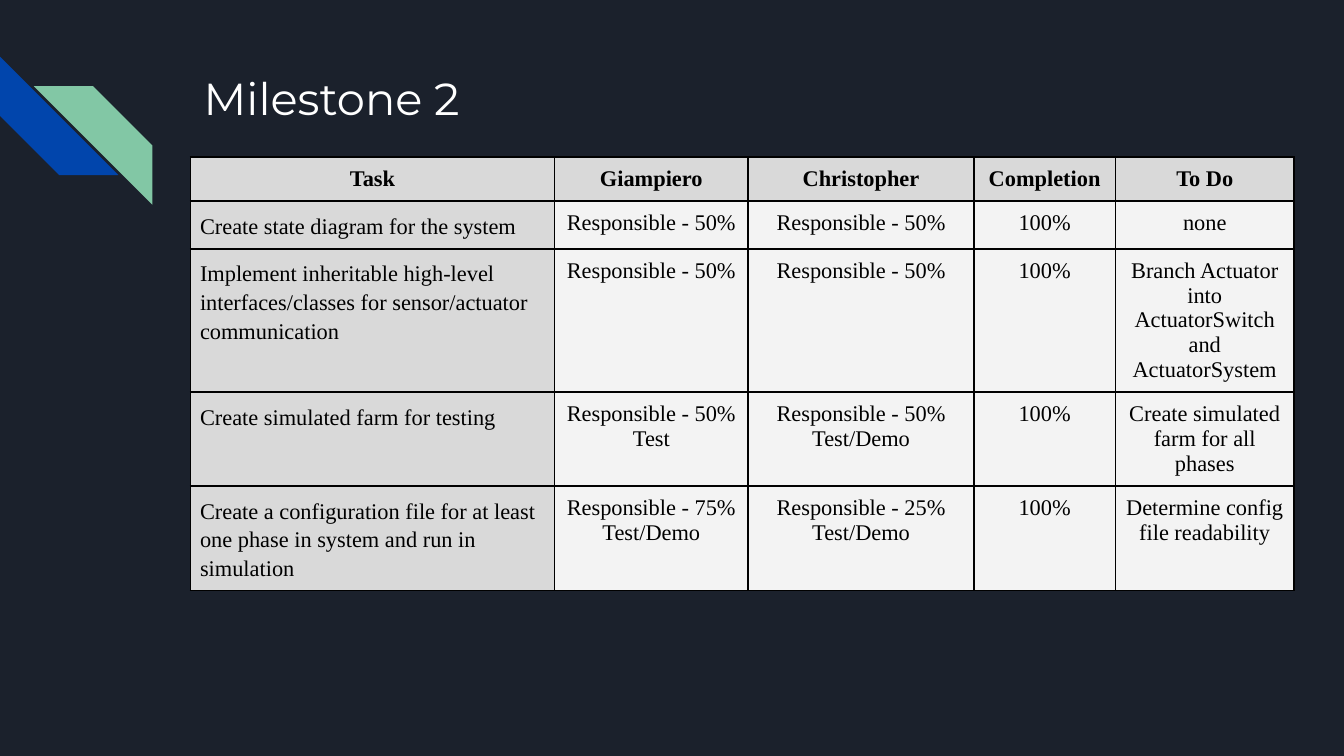
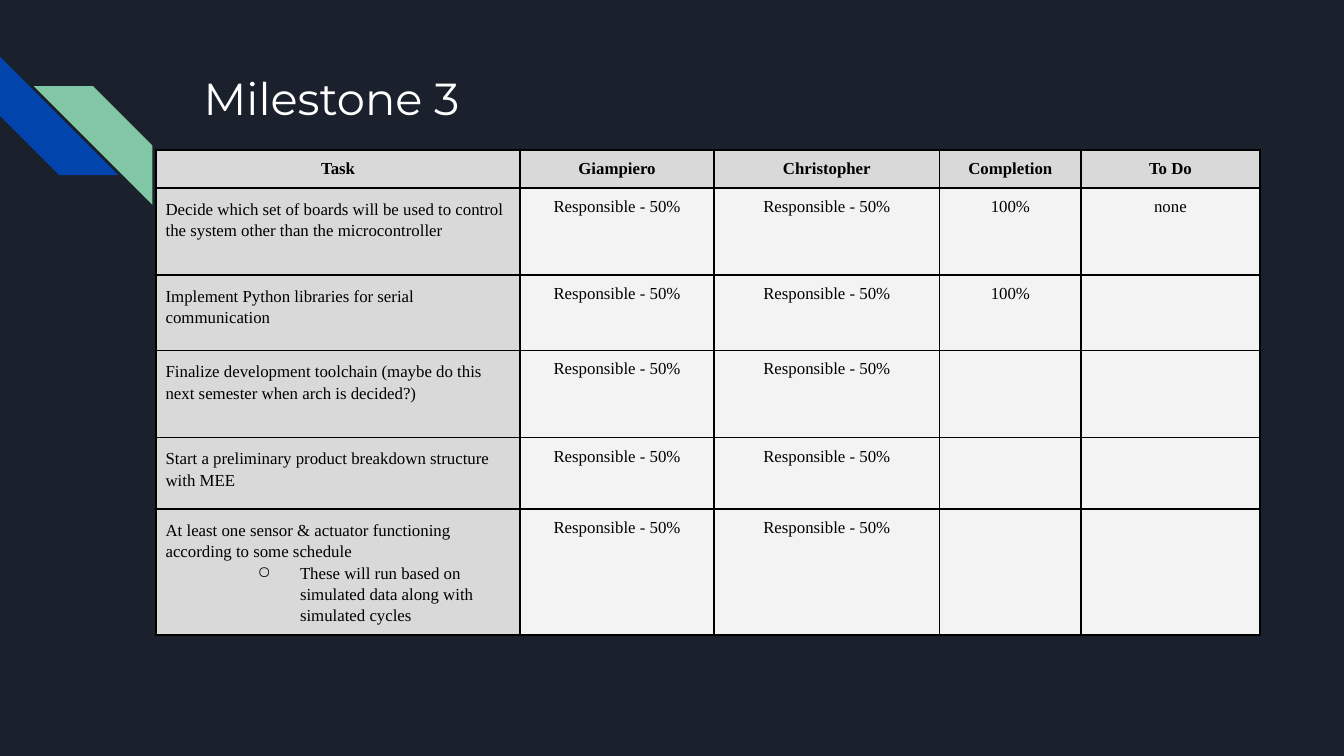
import lxml.etree
import pptx
import pptx.dml.color
import pptx.enum.shapes
import pptx.enum.text
import pptx.oxml.ns
import pptx.util

Cm = pptx.util.Cm
Pt = pptx.util.Pt
ALIGN = pptx.enum.text.PP_ALIGN

COLOURS = {
    "background": "1B212C",
    "blue": "0145AC",
    "green": "82C7A5",
    "title": "FFFFFF",
    "ink": "000000",
    "label": "D9D9D9",
    "body": "F3F3F3",
}
TITLE_FONT = "Montserrat"
TABLE_FONT = "Times New Roman"
HEADERS = ["Task", "Giampiero", "Christopher", "Completion", "To Do"]
COLUMN_WIDTHS = [6.88, 3.66, 4.27, 2.67, 3.38]
HALF = "Responsible - 50%"

# Each task cell is a list: the task itself, then any bulleted details.
MILESTONES = [
    {
        "title": "Milestone 2",
        "position": (3.6, 2.97),
        "size": 12,
        "heights": [0.71, 0.28, 0.28, 0.28, 1.7],
        "rows": [
            (["Create state diagram for the system"], HALF, HALF, "100%", "none"),
            (["Implement inheritable high-level interfaces/classes for "
              "sensor/actuator communication"], HALF, HALF, "100%",
             "Branch Actuator into ActuatorSwitch and ActuatorSystem"),
            (["Create simulated farm for testing"], HALF + " Test",
             HALF + " Test/Demo", "100%", "Create simulated farm for all phases"),
            (["Create a configuration file for at least one phase in system "
              "and run in simulation"], "Responsible - 75% Test/Demo",
             "Responsible - 25% Test/Demo", "100%",
             "Determine config file readability"),
        ],
    },
    {
        "title": "Milestone 3",
        "position": (2.95, 2.84),
        "size": 9,
        "heights": [0.71, 1.65, 1.42, 1.65, 1.35, 1.35],
        "rows": [
            (["Decide which set of boards will be used to control the system "
              "other than the microcontroller"], HALF, HALF, "100%", "none"),
            (["Implement Python libraries for serial communication"],
             HALF, HALF, "100%", ""),
            (["Finalize development toolchain (maybe do this next semester "
              "when arch is decided?)"], HALF, HALF, "", ""),
            (["Start a preliminary product breakdown structure with MEE"],
             HALF, HALF, "", ""),
            (["At least one sensor & actuator functioning according to some schedule",
              "These will run based on simulated data along with simulated cycles"],
             HALF, HALF, "", ""),
        ],
    },
]


def rgb(name):
    return pptx.dml.color.RGBColor.from_string(COLOURS[name])


def set_attributes(target, values):
    for name, value in values.items():
        setattr(target, name, value)


def fill_solid(target, colour):
    target.fill.solid()
    target.fill.fore_color.rgb = rgb(colour)


def add_xml(parent, tag, **attributes):
    return lxml.etree.SubElement(parent, pptx.oxml.ns.qn(tag), attributes)


def format_font(font, colour, **values):
    set_attributes(font, values)
    font.color.rgb = rgb(colour)


def add_stripe(slide, left, top, colour):
    side = Cm(2.24)
    stripe = slide.shapes.add_shape(
        pptx.enum.shapes.MSO_SHAPE.DIAGONAL_STRIPE, Cm(left), Cm(top), side, side)
    stripe.shadow.inherit = False
    fill_solid(stripe, colour)
    stripe.line.fill.background()
    return stripe


def add_corner_stripes(slide):
    add_stripe(slide, 0, 1.07, "blue").rotation = 270
    green_stripe = add_stripe(slide, 0.64, 1.63, "green")
    green_stripe.element.spPr.find(pptx.oxml.ns.qn("a:xfrm")).set("flipH", "1")


def set_title(slide, text):
    title = slide.shapes.title
    set_attributes(title, {"left": Cm(3.6), "top": Cm(1.09),
                           "width": Cm(19.56), "height": Cm(2.54)})
    margin = Cm(0.25)
    set_attributes(title.text_frame, {
        "text": text, "word_wrap": True,
        "auto_size": pptx.enum.text.MSO_AUTO_SIZE.NONE,
        "vertical_anchor": pptx.enum.text.MSO_ANCHOR.TOP,
        "margin_left": margin, "margin_right": margin,
        "margin_top": margin, "margin_bottom": margin})
    paragraph = title.text_frame.paragraphs[0]
    paragraph.alignment = ALIGN.LEFT
    format_font(paragraph.runs[0].font, "title", name=TITLE_FONT, size=Pt(24))


def add_bullet(paragraph):
    paragraph.level = 1
    properties = paragraph._p.get_or_add_pPr()
    properties.set("marL", str(Cm(2.54)))
    properties.set("indent", str(-Cm(0.8)))
    colour = add_xml(properties, "a:buClr")
    add_xml(colour, "a:srgbClr", val=COLOURS["ink"])
    add_xml(properties, "a:buChar", char="○")


def style_cell(cell, colour):
    margin = Cm(0.18)
    set_attributes(cell, {"margin_left": margin, "margin_right": margin,
                          "margin_top": margin, "margin_bottom": margin})
    properties = cell._tc.get_or_add_tcPr()
    for side in "LRTB":
        border = add_xml(properties, "a:ln" + side, w=str(Pt(1)))
        border_fill = add_xml(border, "a:solidFill")
        add_xml(border_fill, "a:srgbClr", val=COLOURS["ink"])
    fill_solid(cell, colour)


def write_cell(cell, texts, size, is_header, is_task):
    cell.text = "\n".join(texts)
    for index, paragraph in enumerate(cell.text_frame.paragraphs):
        if is_task:
            set_attributes(paragraph, {"alignment": ALIGN.LEFT, "line_spacing": 1.15})
        else:
            paragraph.alignment = ALIGN.CENTER
        if index > 0:
            add_bullet(paragraph)
        for run in paragraph.runs:
            format_font(run.font, "ink", name=TABLE_FONT, size=Pt(size), bold=is_header)


def add_task_table(slide, milestone):
    left, top = milestone["position"]
    heights = milestone["heights"]
    table = slide.shapes.add_table(
        len(heights), len(HEADERS), Cm(left), Cm(top),
        Cm(sum(COLUMN_WIDTHS)), Cm(sum(heights))).table
    set_attributes(table, {"first_row": False, "horz_banding": False})
    for column, width in zip(table.columns, COLUMN_WIDTHS):
        column.width = Cm(width)
    for row, height in zip(table.rows, heights):
        row.height = Cm(height)
    for row_index, values in enumerate([HEADERS] + milestone["rows"]):
        for column_index, value in enumerate(values):
            cell = table.cell(row_index, column_index)
            is_header = row_index == 0
            is_task = column_index == 0 and not is_header
            style_cell(cell, "label" if is_header or is_task else "body")
            texts = value if is_task else [value]
            write_cell(cell, texts, milestone["size"], is_header, is_task)


def main():
    presentation = pptx.Presentation()
    set_attributes(presentation, {"slide_width": Cm(25.4), "slide_height": Cm(14.29)})
    fill_solid(presentation.slide_master.background, "background")
    title_only = presentation.slide_layouts.get_by_name("Title Only")
    for milestone in MILESTONES:
        slide = presentation.slides.add_slide(title_only)
        add_corner_stripes(slide)
        set_title(slide, milestone["title"])
        add_task_table(slide, milestone)
    presentation.save("out.pptx")


if __name__ == "__main__":
    main()
